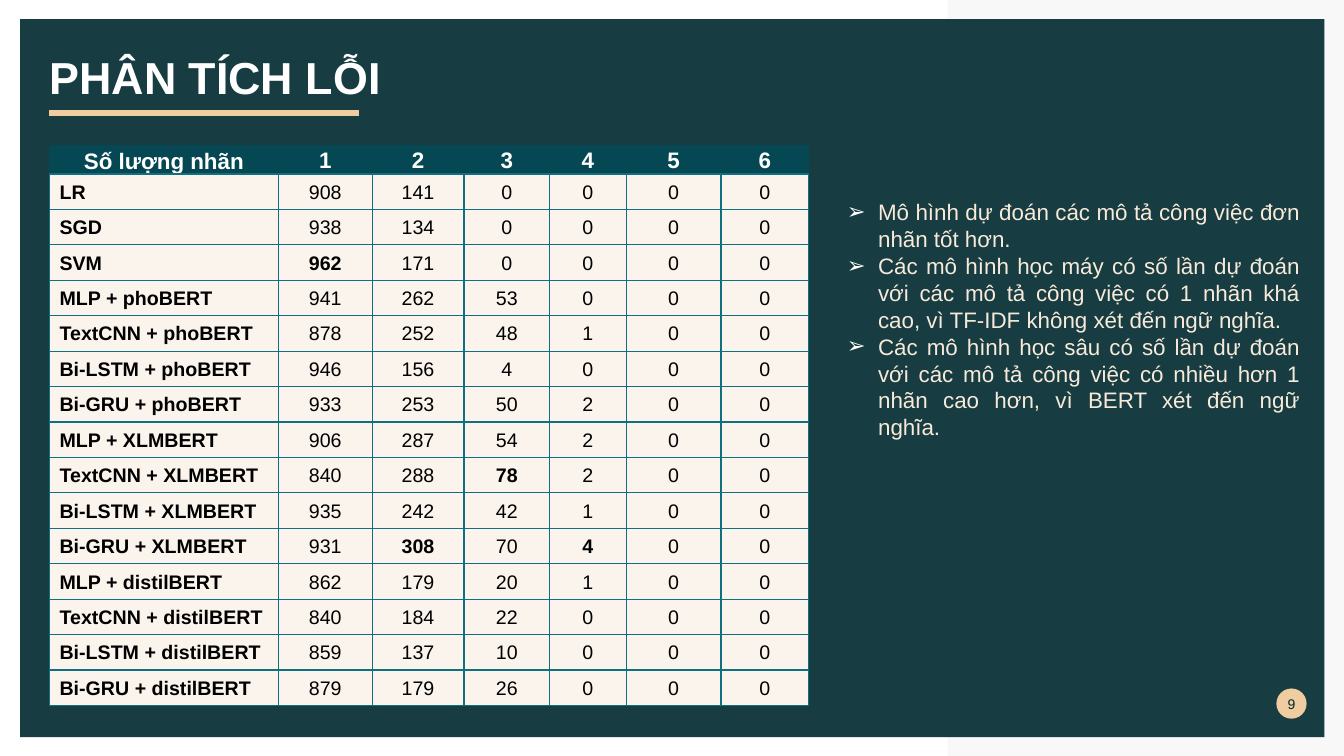
from lxml import etree
from pptx import Presentation, util as u
from pptx.dml.color import RGBColor
from pptx.enum import shapes, text
from pptx.oxml import ns

W, H = u.Inches(13.33), u.Inches(7.5)
FONT = "Arial"
INK, HEADER, GRID, SAND = "00292E", "054854", "107082", "F0CDA1"
CREAM, GREY, WHITE = "FBF4EC", "F2F2F2", "FFFFFF"
LEFT, CENTER, JUSTIFY = (text.PP_ALIGN.LEFT, text.PP_ALIGN.CENTER,
                         text.PP_ALIGN.JUSTIFY)
TOP, MIDDLE, BOTTOM = (text.MSO_ANCHOR.TOP, text.MSO_ANCHOR.MIDDLE,
                       text.MSO_ANCHOR.BOTTOM)

HEADINGS = ["Số lượng nhãn", 1, 2, 3, 4, 5, 6]
COLUMNS = [17.03, 6.98, 6.83, 6.38, 5.7, 7.05, 6.53]
HEADER_ROW, BODY_ROW = 3.73, 4.69
RESULTS = [
    ("LR", 908, 141, 0, 0, 0, 0),
    ("SGD", 938, 134, 0, 0, 0, 0),
    ("SVM", 962, 171, 0, 0, 0, 0),
    ("MLP + phoBERT", 941, 262, 53, 0, 0, 0),
    ("TextCNN + phoBERT", 878, 252, 48, 1, 0, 0),
    ("Bi-LSTM + phoBERT", 946, 156, 4, 0, 0, 0),
    ("Bi-GRU + phoBERT", 933, 253, 50, 2, 0, 0),
    ("MLP + XLMBERT", 906, 287, 54, 2, 0, 0),
    ("TextCNN + XLMBERT", 840, 288, 78, 2, 0, 0),
    ("Bi-LSTM + XLMBERT", 935, 242, 42, 1, 0, 0),
    ("Bi-GRU + XLMBERT", 931, 308, 70, 4, 0, 0),
    ("MLP + distilBERT", 862, 179, 20, 1, 0, 0),
    ("TextCNN + distilBERT", 840, 184, 22, 0, 0, 0),
    ("Bi-LSTM + distilBERT", 859, 137, 10, 0, 0, 0),
    ("Bi-GRU + distilBERT", 879, 179, 26, 0, 0, 0),
]
FINDINGS = [
    "Mô hình dự đoán các mô tả công việc đơn nhãn tốt hơn.",
    "Các mô hình học máy có số lần dự đoán với các mô tả công việc có 1 nhãn "
    "khá cao, vì TF-IDF không xét đến ngữ nghĩa.",
    "Các mô hình học sâu có số lần dự đoán với các mô tả công việc có nhiều "
    "hơn 1 nhãn cao hơn, vì BERT xét đến ngữ nghĩa.",
]


def across(pct):
    return round(W * pct / 100)


def down(pct):
    return round(H * pct / 100)


def box(x, y, w, h):
    """Turn percentages of the slide's size into left, top, width, height."""
    return across(x), down(y), across(w), down(h)


def color(hex6):
    return RGBColor.from_string(hex6)


def sub(parent, tag, **attrs):
    return etree.SubElement(parent, ns.qn(tag), attrs)


def paint(s, fill, opacity=100):
    s.shadow.inherit = False
    s.fill.solid()
    s.fill.fore_color.rgb = color(fill)
    s.line.fill.background()
    if opacity < 100:
        clr = s.fill._xPr.find(ns.qn("a:solidFill"))[0]
        sub(clr, "a:alpha", val=str(opacity * 1000))


def set_insets(holder, left=0, top=0, right=0, bottom=0):
    holder.margin_left, holder.margin_top = u.Inches(left), u.Inches(top)
    holder.margin_right, holder.margin_bottom = u.Inches(right), u.Inches(bottom)


def write(p, words, size=14, fill="000000", bold=False, align=LEFT, spacing=None):
    p.alignment = align
    p.line_spacing = spacing
    r = p.add_run()
    r.text = str(words)
    r.font.name, r.font.size, r.font.bold = FONT, u.Pt(size), bold
    r.font.color.rgb = color(fill)


def add_bullet(p, char, fill, indent):
    pPr = p._p.get_or_add_pPr()
    pPr.set("marL", str(u.Inches(indent)))
    pPr.set("indent", str(-u.Inches(indent)))
    sub(sub(pPr, "a:buClr"), "a:srgbClr", val=fill)
    sub(pPr, "a:buFont", typeface=FONT)
    sub(pPr, "a:buChar", char=char)


def add_border(cell, side, fill, width):
    tcPr = cell._tc.get_or_add_tcPr()
    ln = sub(tcPr, "a:ln" + side, w=str(u.Pt(width)))
    sub(sub(ln, "a:solidFill"), "a:srgbClr", val=fill)


def style_cell(cell, fill, anchor, edge, edge_width):
    """Edge is the line at left, right and top; the bottom is a grid line."""
    for side in "LRT":
        add_border(cell, side, edge, edge_width)
    add_border(cell, "B", GRID, 1)
    cell.fill.solid()
    cell.fill.fore_color.rgb = color(fill)
    cell.vertical_anchor = anchor


def add_backdrop(slide):
    """Pale bracket round the right side, with the dark panel over it."""
    corners = [(70.5, 0), (100, 0), (100, 100), (70.5, 100),
               (70.5, 97.3), (98.5, 97.3), (98.5, 2.7), (70.5, 2.7)]
    points = [(across(x), down(y)) for x, y in corners]
    outline = slide.shapes.build_freeform(*points[0])
    outline.add_line_segments(points[1:])
    paint(outline.convert_to_shape(), GREY, 50)
    for fill, opacity in ((GREY, 100), (INK, 90)):
        s = slide.shapes.add_shape(shapes.MSO_SHAPE.RECTANGLE,
                                   *box(1.5, 2.55, 97.05, 94.95))
        paint(s, fill, opacity)


def add_title(slide, words):
    s = slide.shapes.title
    s.left, s.top, s.width, s.height = box(3.68, 7.33, 62.04, 5.33)
    tf = s.text_frame
    tf.auto_size, tf.vertical_anchor = text.MSO_AUTO_SIZE.NONE, TOP
    set_insets(tf)
    write(tf.paragraphs[0], words, size=32, fill=WHITE, bold=True, spacing=0.9)
    # The title belongs in front of the panel.
    slide.shapes._spTree.append(s._element)

    rule = slide.shapes.add_connector(
        shapes.MSO_CONNECTOR.STRAIGHT,
        across(3.68), down(14.93), across(26.7), down(14.93))
    rule.line.color.rgb = color(SAND)
    rule.line.width = u.Pt(4.32)
    sub(rule._element.spPr, "a:effectLst")


def add_findings(slide):
    tf = slide.shapes.add_textbox(*box(62.27, 25.6, 35.18, 37.2)).text_frame
    tf.word_wrap = True
    set_insets(tf, 0.1, 0.05, 0.1, 0.05)
    for i, finding in enumerate(FINDINGS):
        p = tf.add_paragraph() if i else tf.paragraphs[0]
        write(p, finding, size=16, fill="F8EAD9", align=JUSTIFY)
        add_bullet(p, "➢", WHITE, 0.31)


def add_page_badge(slide, number):
    s = slide.shapes.add_shape(shapes.MSO_SHAPE.OVAL, *box(94.97, 91.07, 2.25, 4))
    paint(s, SAND)
    tf = s.text_frame
    tf.vertical_anchor = MIDDLE
    set_insets(tf)
    write(tf.paragraphs[0], number, size=10, fill=INK, align=CENTER)


def add_results(slide):
    """Table of counts; the highest count of each column is bold."""
    height = HEADER_ROW + BODY_ROW * len(RESULTS)
    tbl = slide.shapes.add_table(
        len(RESULTS) + 1, len(COLUMNS),
        *box(3.68, 19.2, sum(COLUMNS), height)).table
    tbl.horz_banding = False
    for col, width in zip(tbl.columns, COLUMNS):
        col.width = across(width)
    for i, row in enumerate(tbl.rows):
        row.height = down(BODY_ROW if i else HEADER_ROW)

    for j, heading in enumerate(HEADINGS):
        cell = tbl.cell(0, j)
        style_cell(cell, HEADER, MIDDLE if j else BOTTOM, HEADER, 0.75)
        set_insets(cell, left=0.07, right=0.07)
        write(cell.text_frame.paragraphs[0], heading, size=16, fill=WHITE,
              bold=True, align=CENTER, spacing=1.07)

    best = [max(counts) for counts in list(zip(*RESULTS))[1:]]
    for i, (model, *counts) in enumerate(RESULTS, 1):
        for j, value in enumerate([model, *counts]):
            cell = tbl.cell(i, j)
            style_cell(cell, CREAM, MIDDLE, GRID, 1)
            set_insets(cell, left=0 if j else 0.1)
            bold = j == 0 or value == best[j - 1] > 0
            write(cell.text_frame.paragraphs[0], value, bold=bold,
                  align=CENTER if j else LEFT, spacing=1.07)


def main():
    prs = Presentation()
    prs.slide_width, prs.slide_height = W, H
    slide = prs.slides.add_slide(prs.slide_layouts[5])
    add_backdrop(slide)
    add_title(slide, "PHÂN TÍCH LỖI")
    add_findings(slide)
    add_page_badge(slide, 9)
    add_results(slide)
    prs.save("out.pptx")


if __name__ == "__main__":
    main()
